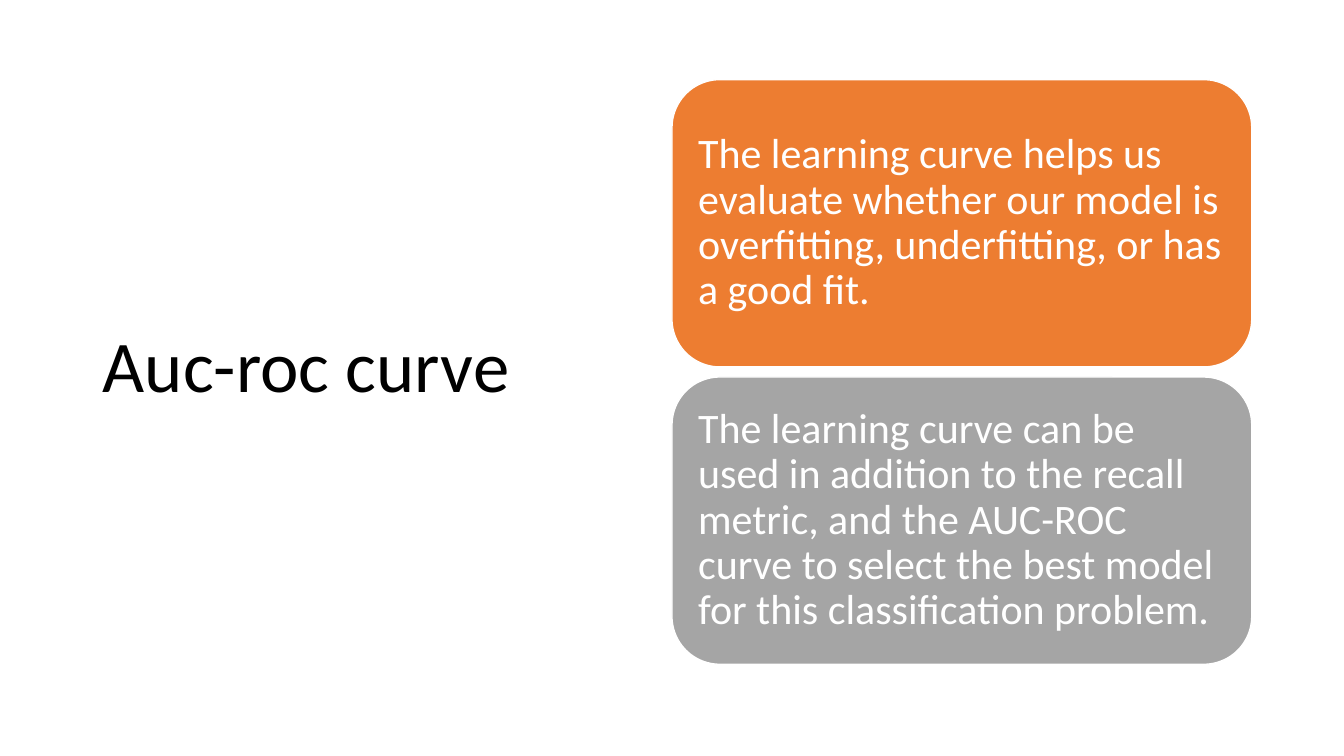
import pptx
import pptx.util
import pptx.dml.color
import pptx.enum.shapes
import pptx.enum.text

Inches = pptx.util.Inches
Pt = pptx.util.Pt
MIDDLE = pptx.enum.text.MSO_ANCHOR.MIDDLE
LEFT = pptx.enum.text.PP_ALIGN.LEFT

WIDE, HIGH = 13.33, 7.5
FONT = "Calibri"
COLORS = {
    "title": "000000",
    "paper": "FFFFFF",
    "orange": "ED7D31",
    "gray": "A5A5A5",
}
CARDS = [
    ("orange", "The learning curve helps us evaluate whether our model is "
               "overfitting, underfitting, or has a good fit."),
    ("gray", "The learning curve can be used in addition to the recall metric, "
             "and the AUC-ROC curve to select the best model for this "
             "classification problem."),
]


def color(name):
    return pptx.dml.color.RGBColor.from_string(COLORS[name])


def write(shape, text, size, tint):
    """Fill a shape with one left-aligned, vertically centred paragraph."""
    frame = shape.text_frame
    frame.word_wrap = True
    frame.auto_size = pptx.enum.text.MSO_AUTO_SIZE.NONE
    frame.vertical_anchor = MIDDLE
    frame.text = text
    para = frame.paragraphs[0]
    para.alignment = LEFT
    para.line_spacing = 0.9
    para.font.name = FONT
    para.font.size = Pt(size)
    para.font.color.rgb = color(tint)
    return frame


def add_title(slide, box, text):
    title = slide.shapes.title
    title.left, title.top, title.width, title.height = map(Inches, box)
    write(title, text, 52, "title")


def add_card(slide, box, fill, text):
    kind = pptx.enum.shapes.MSO_SHAPE.ROUNDED_RECTANGLE
    card = slide.shapes.add_shape(kind, *map(Inches, box))
    card.shadow.inherit = False
    card.fill.solid()
    card.fill.fore_color.rgb = color(fill)
    card.line.color.rgb = color("paper")
    card.line.width = Pt(1)
    frame = write(card, text, 30, "paper")
    frame.margin_left = frame.margin_right = Inches(0.12)
    frame.margin_top = frame.margin_bottom = Inches(0.12)


def add_stack(slide, box, cards, gap):
    """Share the height of the box equally among the cards."""
    left, top, width, height = box
    tall = (height - gap * (len(cards) - 1)) / len(cards)
    for row, (fill, text) in enumerate(cards):
        place = (left, top + row * (tall + gap), width, tall)
        add_card(slide, place, fill, text)


def main():
    deck = pptx.Presentation()
    deck.slide_width, deck.slide_height = Inches(WIDE), Inches(HIGH)
    slide = deck.slides.add_slide(deck.slide_layouts[5])
    add_title(slide, (0.92, 0.61, 0.4 * WIDE, 6.09), "Auc-roc curve")
    add_stack(slide, (WIDE / 2, 0.79, 5.75, 5.8), CARDS, 0.1)
    deck.save("out.pptx")


if __name__ == "__main__":
    main()
